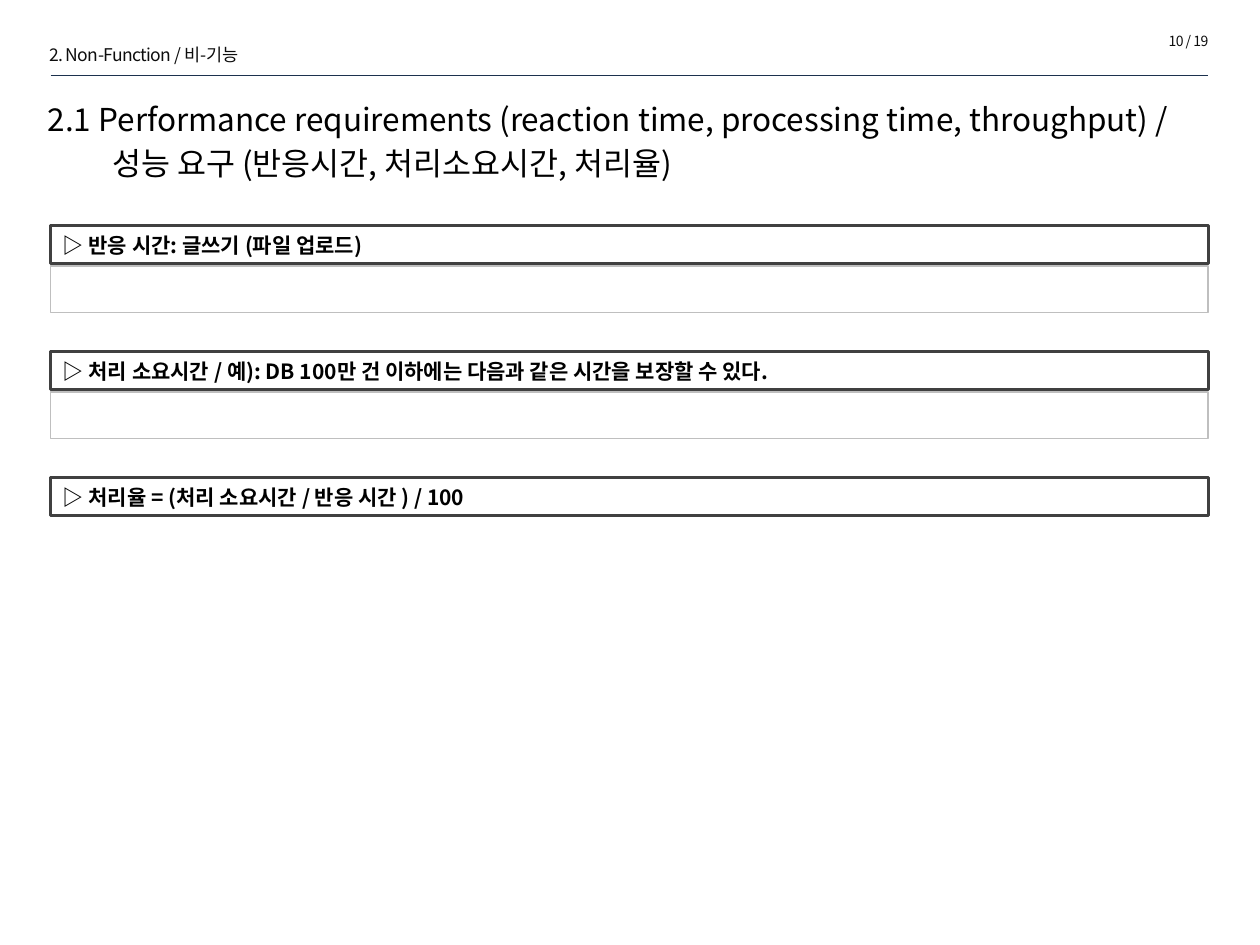
from dataclasses import dataclass

from lxml import etree
from pptx import Presentation
from pptx.dml.color import RGBColor
from pptx.enum.shapes import MSO_CONNECTOR, MSO_SHAPE
from pptx.enum.text import MSO_ANCHOR, MSO_AUTO_SIZE, PP_ALIGN
from pptx.oxml.ns import qn
from pptx.util import Cm, Pt

LEFT, RIGHT, JUSTIFY = PP_ALIGN.LEFT, PP_ALIGN.RIGHT, PP_ALIGN.JUSTIFY
MIDDLE = MSO_ANCHOR.MIDDLE
TITLE_ONLY = 5


@dataclass(frozen=True)
class Theme:
    font: str = "Noto Sans CJK KR"
    text: str = "000000"
    header_text: str = "0D0D0D"
    rule: str = "1C314E"
    heading_line: str = "404040"
    detail_line: str = "BFBFBF"
    box_fill: str = "FFFFFF"
    title_size: float = 18
    heading_size: float = 12
    header_size: float = 10
    page_size: float = 8


class SlideBuilder:
    def __init__(self, page, theme):
        self.page = page
        self.theme = theme

    def span(self, para, text, size, color, bold=False, spacing=None):
        """Add a run in the theme font; spacing is in hundredths of a point."""
        span = para.add_run()
        span.text = text
        font = span.font
        font.name, font.size, font.bold = self.theme.font, Pt(size), bold
        font.color.rgb = RGBColor.from_string(color)
        properties = span._r.get_or_add_rPr()
        etree.SubElement(properties, qn("a:ea"), typeface=self.theme.font)
        if spacing is not None:
            properties.set("spc", str(spacing))

    def title(self, lines, left, top, width, height, hanging):
        box = self.page.shapes.title
        box.left, box.top, box.width, box.height = map(Cm, (left, top, width, height))
        frame = box.text_frame
        frame.auto_size, frame.vertical_anchor = MSO_AUTO_SIZE.NONE, MIDDLE
        frame.word_wrap = True
        para = frame.paragraphs[0]
        para.alignment, para.line_spacing = LEFT, Pt(25)
        properties = para._p.get_or_add_pPr()
        properties.set("marL", str(Cm(hanging)))
        properties.set("indent", str(-Cm(hanging)))
        for index, line in enumerate(lines):
            if index:
                para.add_line_break()
            self.span(para, line, self.theme.title_size, self.theme.text)

    def label(self, text, left, top, width, height, size, align=LEFT):
        box = self.page.shapes.add_textbox(*map(Cm, (left, top, width, height)))
        box.text_frame.word_wrap = True
        para = box.text_frame.paragraphs[0]
        para.alignment = align
        self.span(para, text, size, self.theme.header_text, spacing=-30)

    def rule(self, left, right, top):
        line = self.page.shapes.add_connector(
            MSO_CONNECTOR.STRAIGHT, Cm(left), Cm(top), Cm(right), Cm(top))
        line.line.color.rgb = RGBColor.from_string(self.theme.rule)
        line.line.width = Pt(0.25)
        etree.SubElement(line._element.spPr, qn("a:effectLst"))

    def panel(self, left, top, width, height, color, weight):
        box = self.page.shapes.add_shape(
            MSO_SHAPE.RECTANGLE, *map(Cm, (left, top, width, height)))
        box.shadow.inherit = False
        box.fill.solid()
        box.fill.fore_color.rgb = RGBColor.from_string(self.theme.box_fill)
        box.line.color.rgb = RGBColor.from_string(color)
        box.line.width = Pt(weight)
        return box

    def heading(self, text, left, top, width, height):
        box = self.panel(left, top, width, height, self.theme.heading_line, 1.5)
        frame = box.text_frame
        frame.word_wrap, frame.vertical_anchor = True, MIDDLE
        para = frame.paragraphs[0]
        para.alignment = JUSTIFY
        self.span(para, text, self.theme.heading_size, self.theme.text, bold=True)


def main():
    deck = Presentation()
    deck.slide_width, deck.slide_height = Cm(25.4), Cm(19.05)
    theme = Theme()
    builder = SlideBuilder(
        deck.slides.add_slide(deck.slide_layouts[TITLE_ONLY]), theme)

    left, width = 1.02, 23.34
    builder.label("2. Non-Function / 비-기능", 0.74, 0.76, 8.13, 0.69, theme.header_size)
    builder.label("10 / 19", 20.22, 0.53, 4.39, 0.61, theme.page_size, RIGHT)
    builder.rule(left, left + width, 1.52)
    builder.title(
        ["2.1 Performance requirements (reaction time, processing time, throughput) / ",
         "성능 요구 (반응시간, 처리소요시간, 처리율)"],
        0.71, 1.96, 23.52, 1.63, hanging=1.3)

    sections = [
        ("▷ 반응 시간: 글쓰기 (파일 업로드)", True),
        ("▷ 처리 소요시간 / 예): DB 100만 건 이하에는 다음과 같은 시간을 보장할 수 있다.", True),
        ("▷ 처리율 = (처리 소요시간 / 반응 시간 ) / 100", False),
    ]
    first_top, pitch = 4.55, 2.54
    for index, (text, has_detail) in enumerate(sections):
        top = first_top + index * pitch
        if has_detail:
            builder.panel(left, top + 0.81, width, 0.94, theme.detail_line, 1)
        builder.heading(text, left, top, width, 0.77)

    deck.save("out.pptx")


if __name__ == "__main__":
    main()
